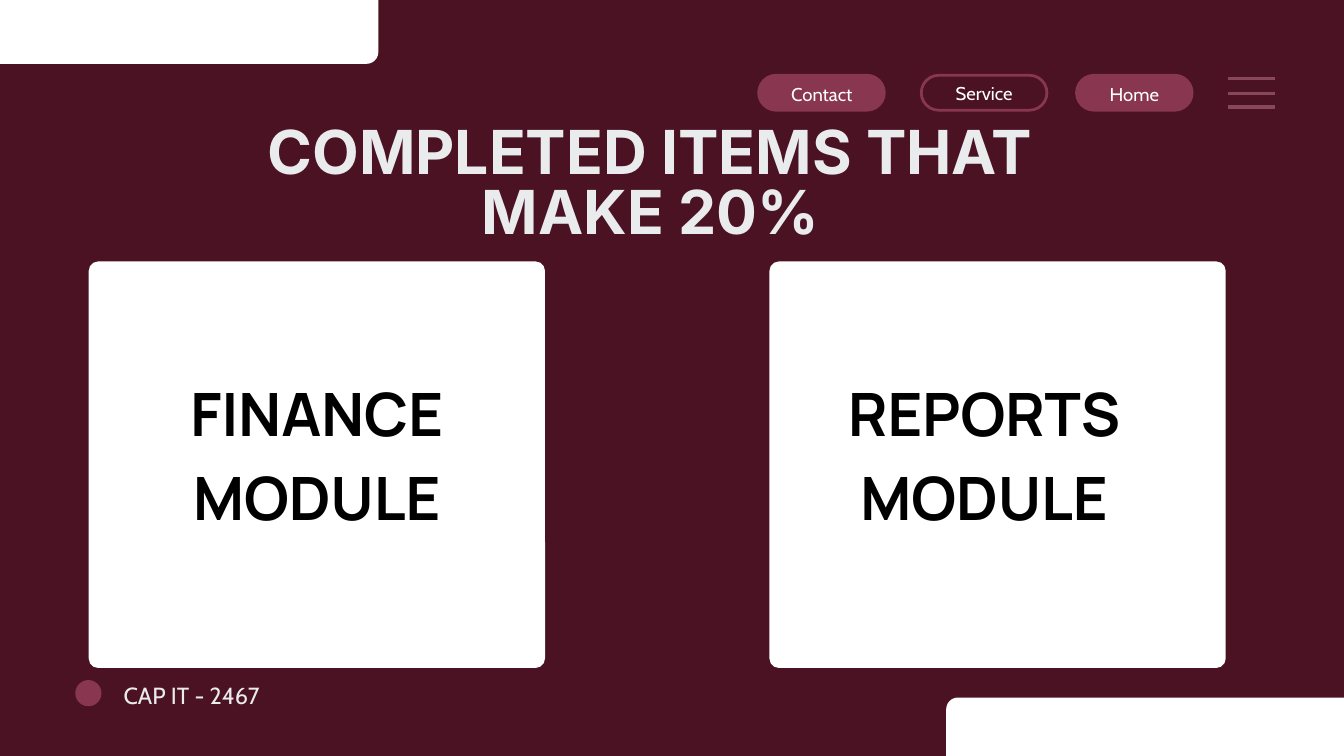
from typing import NamedTuple

from lxml import etree
from pptx import Presentation
from pptx.dml.color import RGBColor
from pptx.enum.shapes import MSO_CONNECTOR, MSO_SHAPE
from pptx.enum.text import MSO_ANCHOR, MSO_AUTO_SIZE, PP_ALIGN
from pptx.oxml.ns import qn
from pptx.util import Pt

ROUNDED = MSO_SHAPE.ROUNDED_RECTANGLE
OVAL = MSO_SHAPE.OVAL
STRAIGHT = MSO_CONNECTOR.STRAIGHT
LEFT, CENTER = PP_ALIGN.LEFT, PP_ALIGN.CENTER
TOP = MSO_ANCHOR.TOP
NO_AUTO_SIZE = MSO_AUTO_SIZE.NONE

BACKGROUND = "4A1223"
ROSE = "893650"
MENU_ROSE = "89475B"
PALE = "E9EBED"
WHITE = "FFFFFF"
BLACK = "000000"


class Box(NamedTuple):
    left: float
    top: float
    width: float
    height: float


class Button(NamedTuple):
    label: str
    box: Box
    label_box: Box
    filled: bool


class Card(NamedTuple):
    label: str
    left: float
    label_left: float


BUTTONS = [
    Button("Home", Box(1153.44, 80.64, 123.84, 37.44), Box(1161.36, 84.96, 108, 26.64), True),
    Button("Service", Box(987.12, 80.64, 134.64, 37.44), Box(994.32, 83.52, 120.24, 26.64), False),
    Button("Contact", Box(812.88, 80.64, 134.64, 37.44), Box(824.4, 84.96, 112.32, 26.64), True),
]
CARDS = [Card("FINANCE MODULE", 95.04, 126.72), Card("REPORTS MODULE", 824.4, 841.68)]
CORNER_PANELS = [Box(1013.76, 747.36, 754.56, 189.36), Box(-349.2, -120.96, 754.56, 189.36)]
MENU_LINE_TOPS = [84.24, 100.08, 114.48]


def color(value: str) -> RGBColor:
    return RGBColor.from_string(value)


def place(box: Box) -> list:
    return [Pt(length) for length in box]


def add_shape(slide, kind, box: Box, *, fill=None, line=None, radius=0.0):
    shape = slide.shapes.add_shape(kind, *place(box))
    shape.shadow.inherit = False
    if kind == ROUNDED:
        shape.adjustments[0] = radius / min(box.width, box.height)
    if fill:
        shape.fill.solid()
        shape.fill.fore_color.rgb = color(fill)
    else:
        shape.fill.background()
    if line:
        shape.line.color.rgb = color(line)
        shape.line.width = Pt(3)
    else:
        shape.line.fill.background()
    return shape


def write_text(shape, text: str, *, font: str, size: float, fill: str, spacing: float,
               bold: bool = False, align=CENTER) -> None:
    frame = shape.text_frame
    frame.word_wrap = True
    frame.auto_size = NO_AUTO_SIZE
    frame.vertical_anchor = TOP
    frame.margin_left = frame.margin_right = frame.margin_top = frame.margin_bottom = 0
    paragraph = frame.paragraphs[0]
    paragraph.alignment = align
    paragraph.line_spacing = Pt(spacing)
    paragraph.space_before = Pt(0)
    run = paragraph.add_run()
    run.text = text
    run.font.name = font
    run.font.size = Pt(size)
    run.font.bold = bold
    run.font.color.rgb = color(fill)


def add_text(slide, box: Box, text: str, **text_format) -> None:
    write_text(slide.shapes.add_textbox(*place(box)), text, **text_format)


def add_title(slide, box: Box, text: str, **text_format) -> None:
    title = slide.shapes.title
    title.left, title.top, title.width, title.height = place(box)
    write_text(title, text, **text_format)


def add_button(slide, button: Button) -> None:
    add_shape(slide, ROUNDED, button.box, fill=ROSE if button.filled else None,
              line=ROSE, radius=button.box.height / 2)
    add_text(slide, button.label_box, button.label,
             font="Cabin", size=19.8, fill=WHITE, spacing=27.8)


def add_card(slide, card: Card) -> None:
    add_shape(slide, ROUNDED, Box(card.left, 280.08, 488.88, 435.6), fill=WHITE, radius=10.1)
    add_text(slide, Box(card.label_left, 390.96, 425.52, 180), card.label,
             font="Manrope", size=64, fill=BLACK, spacing=89.6, bold=True)


def add_menu_line(slide, top: float) -> None:
    connector = slide.shapes.add_connector(STRAIGHT, Pt(1316.16), Pt(top), Pt(1365.84), Pt(top))
    connector.line.color.rgb = color(MENU_ROSE)
    connector.line.width = Pt(4)
    etree.SubElement(connector._element.spPr, qn("a:effectLst"))


def main() -> None:
    presentation = Presentation()
    presentation.slide_width = Pt(1440)
    presentation.slide_height = Pt(810)
    slide = presentation.slides.add_slide(presentation.slide_layouts[5])
    slide.background.fill.solid()
    slide.background.fill.fore_color.rgb = color(BACKGROUND)

    add_title(slide, Box(259.2, 134.64, 875.52, 132.48), "COMPLETED ITEMS THAT MAKE 20%",
              font="Inter", size=65, fill=PALE, spacing=65, bold=True)
    for button in BUTTONS:
        add_button(slide, button)
    for card in CARDS:
        add_card(slide, card)
    for panel in CORNER_PANELS:
        add_shape(slide, ROUNDED, panel, fill=WHITE, radius=12.6)
    for top in MENU_LINE_TOPS:
        add_menu_line(slide, top)
    add_shape(slide, OVAL, Box(80.64, 728.64, 28.08, 28.08), fill=ROSE)
    add_text(slide, Box(132.48, 725.04, 371.52, 33.12), "CAP IT - 2467",
             font="Cabin", size=25, fill=PALE, spacing=35, align=LEFT)

    presentation.save("out.pptx")


if __name__ == "__main__":
    main()
